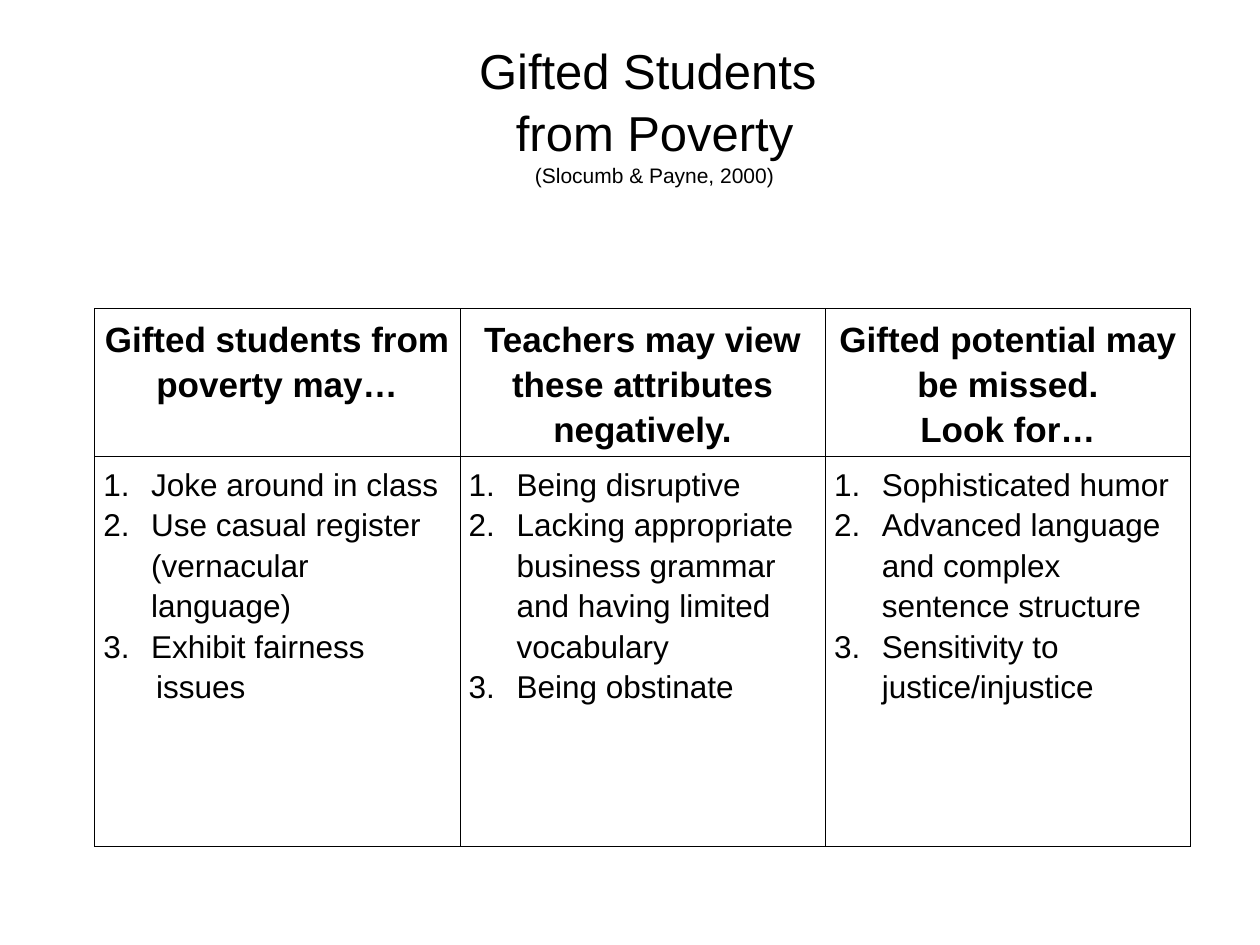
from dataclasses import dataclass

from lxml.etree import SubElement
from pptx import Presentation
from pptx.dml.color import RGBColor
from pptx.enum.text import MSO_ANCHOR as Anchor, MSO_AUTO_SIZE as AutoSize, PP_ALIGN as Align
from pptx.oxml.ns import qn
from pptx.util import Inches, Pt

FONT = "Arial"
BLACK = "000000"
LINE_SPACING = 1.15
COLUMN_WIDTH = 2.9
HEADER_HEIGHT, BODY_HEIGHT = 1.17, 3.1
HANGING = 0.38


@dataclass
class Column:
    heading: list[str]
    points: list[str]
    continuation: str = ""


COLUMNS = [
    Column(["Gifted students from poverty may…"],
           ["Joke around in class", "Use casual register (vernacular language)",
            "Exhibit fairness"], "issues"),
    Column(["Teachers may view these attributes negatively."],
           ["Being disruptive",
            "Lacking appropriate business grammar and having limited vocabulary",
            "Being obstinate"]),
    Column(["Gifted potential may be missed.", "Look for…"],
           ["Sophisticated humor", "Advanced language and complex sentence structure",
            "Sensitivity to justice/injustice"]),
]


def color(hex_value: str) -> RGBColor:
    return RGBColor.from_string(hex_value)


def add_run(paragraph, text: str, size: float, bold: bool = False) -> None:
    run = paragraph.add_run()
    run.text = text
    run.font.name = FONT
    run.font.size = Pt(size)
    run.font.bold = bold
    run.font.color.rgb = color(BLACK)


def indent(paragraph, left: float, first: float = 0) -> None:
    properties = paragraph._p.get_or_add_pPr()
    properties.set("marL", str(Inches(left)))
    properties.set("indent", str(Inches(first)))


def number(paragraph) -> None:
    """Give the paragraph an automatic number with a hanging indent."""
    indent(paragraph, HANGING, -HANGING)
    properties = paragraph._p.get_or_add_pPr()
    bullet_color = SubElement(properties, qn("a:buClr"))
    SubElement(bullet_color, qn("a:srgbClr"), val=BLACK)
    SubElement(properties, qn("a:buFont"), typeface=FONT)
    SubElement(properties, qn("a:buAutoNum"), type="arabicPeriod")


def style_cell(cell) -> None:
    """Set thin black borders, narrow margins and no fill."""
    properties = cell._tc.get_or_add_tcPr()
    for side in ("lnL", "lnR", "lnT", "lnB"):
        border = SubElement(properties, qn(f"a:{side}"), w=str(Pt(0.45)))
        fill = SubElement(border, qn("a:solidFill"))
        SubElement(fill, qn("a:srgbClr"), val=BLACK)
    cell.fill.background()
    cell.margin_left = cell.margin_right = Inches(0.07)
    cell.margin_top = cell.margin_bottom = Inches(0.05)
    cell.vertical_anchor = Anchor.TOP


def write_lines(cell, lines: list[str], size: float, bold: bool, align: Align) -> list:
    frame = cell.text_frame
    paragraphs = [frame.paragraphs[0]] + [frame.add_paragraph() for _ in lines[1:]]
    for paragraph, line in zip(paragraphs, lines):
        paragraph.alignment = align
        paragraph.line_spacing = LINE_SPACING
        add_run(paragraph, line, size, bold)
    return paragraphs


def add_title(slide) -> None:
    title = slide.shapes.title
    title.left, title.top = Inches(2.57), Inches(0.25)
    title.width, title.height = Inches(5.25), Inches(1.96)
    frame = title.text_frame
    frame.auto_size = AutoSize.NONE
    frame.word_wrap = True
    frame.vertical_anchor = Anchor.TOP
    paragraph = frame.paragraphs[0]
    paragraph.alignment = Align.CENTER
    paragraph.line_spacing = 1.05
    add_run(paragraph, "Gifted Students ", 28)
    paragraph.add_line_break()
    add_run(paragraph, "from Poverty", 28)
    paragraph.add_line_break()
    add_run(paragraph, "(Slocumb & Payne, 2000)", 12)


def add_comparison(slide, columns: list[Column]) -> None:
    table = slide.shapes.add_table(
        2, len(columns), Inches(0.75), Inches(2.45),
        Inches(COLUMN_WIDTH * len(columns)), Inches(HEADER_HEIGHT + BODY_HEIGHT)).table
    table.first_row = table.horz_banding = False
    for row, height in zip(table.rows, (HEADER_HEIGHT, BODY_HEIGHT)):
        row.height = Inches(height)
    for index, column in enumerate(columns):
        table.columns[index].width = Inches(COLUMN_WIDTH)
        header, body = table.cell(0, index), table.cell(1, index)
        style_cell(header)
        style_cell(body)
        write_lines(header, column.heading, 20, True, Align.CENTER)
        lines = column.points + ([column.continuation] if column.continuation else [])
        paragraphs = write_lines(body, lines, 18, False, Align.LEFT)
        for paragraph in paragraphs[:len(column.points)]:
            number(paragraph)
        for paragraph in paragraphs[len(column.points):]:
            indent(paragraph, HANGING + 0.04)


def main() -> None:
    deck = Presentation()
    deck.slide_width, deck.slide_height = Inches(10), Inches(7.5)
    slide = deck.slides.add_slide(deck.slide_layouts.get_by_name("Title Only"))
    add_title(slide)
    add_comparison(slide, COLUMNS)
    deck.save("out.pptx")


if __name__ == "__main__":
    main()
